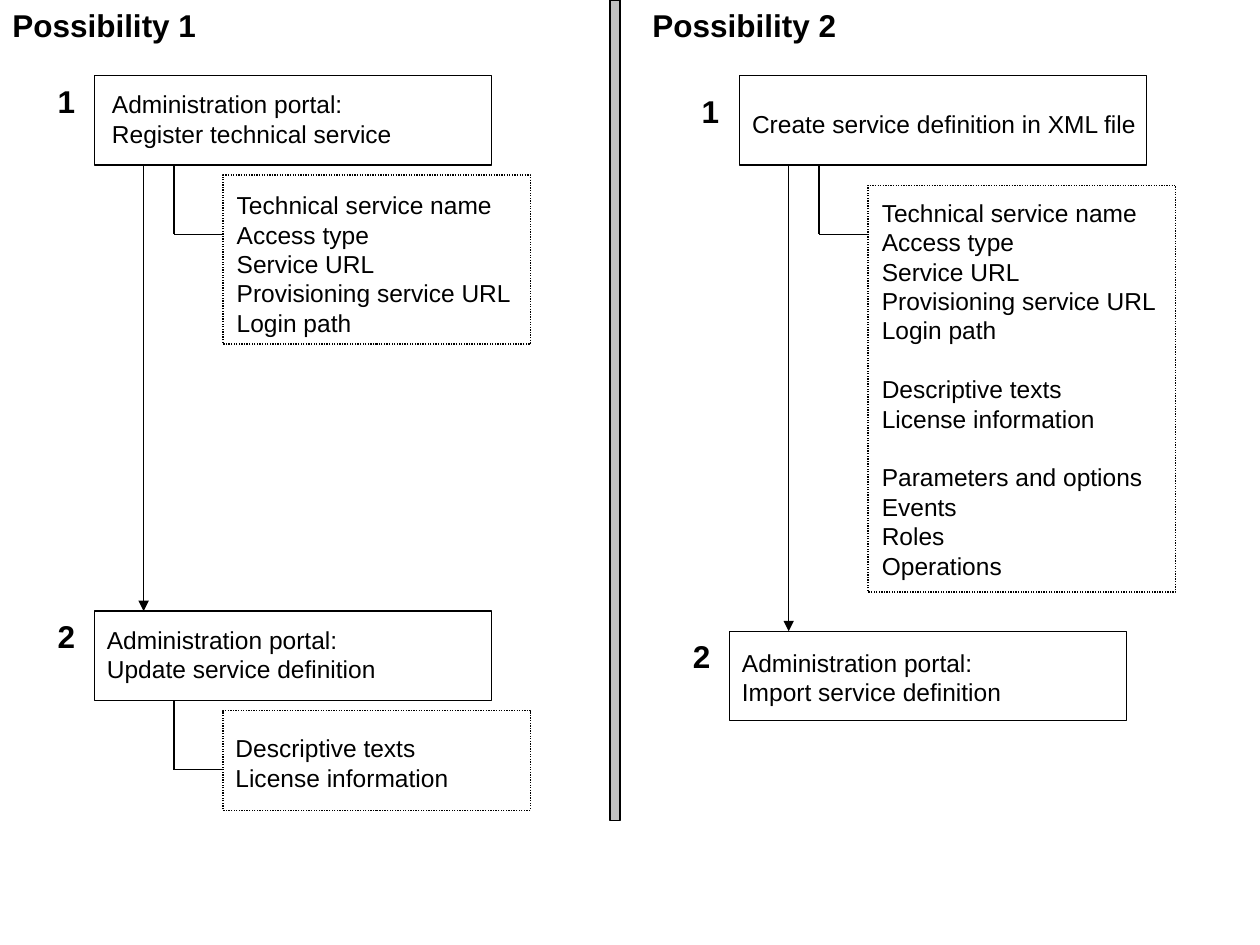
"""Build a slide comparing two ways of defining a technical service."""
from dataclasses import dataclass
from typing import Optional

from lxml import etree
from pptx import Presentation
from pptx.dml.color import RGBColor
from pptx.enum.dml import MSO_LINE
from pptx.enum.shapes import MSO_CONNECTOR, MSO_SHAPE
from pptx.enum.text import MSO_AUTO_SIZE
from pptx.oxml.ns import qn
from pptx.util import Inches, Pt

RECTANGLE = MSO_SHAPE.RECTANGLE
STRAIGHT = MSO_CONNECTOR.STRAIGHT
DOTTED = MSO_LINE.ROUND_DOT
FIT_SHAPE = MSO_AUTO_SIZE.SHAPE_TO_FIT_TEXT

BLACK = RGBColor(0x00, 0x00, 0x00)
GREY = RGBColor(0xC0, 0xC0, 0xC0)
FONT = "Arial"
BODY_SIZE, HEADING_SIZE = 14, 18
LINE_WIDTH = Pt(0.75)
GROUP_GAP = Pt(16.8)

SLIDE_WIDTH, SLIDE_HEIGHT = Inches(10), Inches(7.5)
COLUMNS, ROWS = 100, 75
STEP_HEIGHT = 7.1
NOTE_WIDTH = 24.4
BRACKET_DROP, BRACKET_RUN = 5.5, 3.9
HEADING_HEIGHT = 4

ACCESS = ["Technical service name", "Access type", "Service URL",
          "Provisioning service URL", "Login path"]
TEXTS = ["Descriptive texts", "License information"]
OPTIONS = ["Parameters and options", "Events", "Roles", "Operations"]


@dataclass
class Area:
    """A rectangle in grid columns and rows."""
    left: float
    top: float
    width: float
    height: float

    @property
    def bottom(self) -> float:
        """Row of the lower edge."""
        return self.top + self.height


@dataclass
class Note:
    """A dotted box of details hanging from a step."""
    frame: Area
    text_area: Area
    groups: list[list[str]]


@dataclass
class Step:
    """A numbered step with an optional note."""
    number: str
    number_left: float
    number_top: float
    frame: Area
    text_area: Area
    lines: list[str]
    note: Optional[Note] = None


@dataclass
class Possibility:
    """A headed column of steps joined by an arrow."""
    heading: str
    left: float
    arrow_column: float
    steps: list[Step]


POSSIBILITIES = [
    Possibility("Possibility 1", 0, 11.4, [
        Step("1", 3.6, 6, Area(7.5, 6, 31.5, STEP_HEIGHT), Area(7.9, 6.6, 24.2, 5.7),
             ["Administration portal:", "Register technical service"],
             Note(Area(17.7, 13.9, NOTE_WIDTH, 13.4), Area(17.8, 14.6, 23.8, 12.7), [ACCESS])),
        Step("2", 3.6, 48.5, Area(7.5, 48.5, 31.5, STEP_HEIGHT), Area(7.5, 49.1, 23.6, 5.7),
             ["Administration portal:", "Update service definition"],
             Note(Area(17.7, 56.4, NOTE_WIDTH, 7.9), Area(17.7, 57.7, 18.9, 5.7), [TEXTS])),
    ]),
    Possibility("Possibility 2", 50.8, 62.6, [
        Step("1", 54.7, 6.8, Area(58.7, 6, 32.3, STEP_HEIGHT), Area(58.7, 8.2, 32.5, 3.4),
             ["Create service definition in XML file"],
             Note(Area(68.9, 14.7, NOTE_WIDTH, 32.3), Area(69, 15.2, 23.8, 31.4),
                  [ACCESS, TEXTS, OPTIONS])),
        Step("2", 54, 50.1, Area(57.9, 50.1, 31.5, STEP_HEIGHT), Area(57.9, 50.9, 22.6, 5.7),
             ["Administration portal:", "Import service definition"]),
    ]),
]


def across(columns: float) -> int:
    """Turn grid columns into a slide length."""
    return round(SLIDE_WIDTH * columns / COLUMNS)


def down(rows: float) -> int:
    """Turn grid rows into a slide length."""
    return round(SLIDE_HEIGHT * rows / ROWS)


def place(area: Area) -> tuple[int, int, int, int]:
    """Return left, top, width and height on the slide."""
    return across(area.left), down(area.top), across(area.width), down(area.height)


def draw_frame(shapes, area: Area, fill: Optional[RGBColor] = None, dash=None) -> None:
    """Draw an outlined rectangle."""
    frame = shapes.add_shape(RECTANGLE, *place(area))
    frame.shadow.inherit = False
    if fill is None:
        frame.fill.background()
    else:
        frame.fill.solid()
        frame.fill.fore_color.rgb = fill
    frame.line.color.rgb = BLACK
    frame.line.width = LINE_WIDTH
    if dash is not None:
        frame.line.dash_style = dash


def draw_text(shapes, area: Area, groups: list[list[str]],
              size: int = BODY_SIZE, bold: bool = False) -> None:
    """Write groups of lines, with a one-line gap between groups."""
    frame = shapes.add_textbox(*place(area)).text_frame
    frame.word_wrap = False
    frame.auto_size = FIT_SHAPE
    frame.text = "\n".join(line for group in groups for line in group)
    paragraphs = iter(frame.paragraphs)
    for group_index, group in enumerate(groups):
        for line_index in range(len(group)):
            paragraph = next(paragraphs)
            if group_index and not line_index:
                paragraph.space_before = GROUP_GAP
            for run in paragraph.runs:
                run.font.name = FONT
                run.font.size = Pt(size)
                run.font.bold = bold
                run.font.color.rgb = BLACK


def draw_line(shapes, start: tuple[float, float], end: tuple[float, float],
              arrow: bool = False) -> None:
    """Draw a straight line, with an arrowhead at its end if asked."""
    line = shapes.add_connector(STRAIGHT, across(start[0]), down(start[1]),
                                across(end[0]), down(end[1]))
    line.line.color.rgb = BLACK
    line.line.width = LINE_WIDTH
    if arrow:
        etree.SubElement(line.line._get_or_add_ln(), qn("a:tailEnd"), type="triangle")
    etree.SubElement(line._element.spPr, qn("a:effectLst"))


def draw_step(shapes, step: Step) -> None:
    """Draw a step with its number and its bracketed note."""
    draw_frame(shapes, step.frame)
    draw_text(shapes, step.text_area, [step.lines])
    draw_text(shapes, Area(step.number_left, step.number_top, 3.4, HEADING_HEIGHT),
              [[step.number]], HEADING_SIZE, bold=True)
    if step.note:
        note = step.note
        corner = (note.frame.left - BRACKET_RUN, step.frame.bottom + BRACKET_DROP)
        draw_line(shapes, (corner[0], step.frame.bottom), corner)
        draw_line(shapes, corner, (note.frame.left, corner[1]))
        draw_frame(shapes, note.frame, dash=DOTTED)
        draw_text(shapes, note.text_area, note.groups)


def draw_possibility(shapes, possibility: Possibility) -> None:
    """Draw a heading, its steps and the arrow between them."""
    draw_text(shapes, Area(possibility.left, 0, 16.6, HEADING_HEIGHT),
              [[possibility.heading]], HEADING_SIZE, bold=True)
    for step in possibility.steps:
        draw_step(shapes, step)
    first, last = possibility.steps
    draw_line(shapes, (possibility.arrow_column, first.frame.bottom),
              (possibility.arrow_column, last.frame.top), arrow=True)


def main() -> None:
    """Build and save the slide."""
    presentation = Presentation()
    presentation.slide_width, presentation.slide_height = SLIDE_WIDTH, SLIDE_HEIGHT
    shapes = presentation.slides.add_slide(presentation.slide_layouts[6]).shapes
    draw_frame(shapes, Area(48.4, 0, 0.8, 65.1), fill=GREY)
    for possibility in POSSIBILITIES:
        draw_possibility(shapes, possibility)
    presentation.save("out.pptx")


if __name__ == "__main__":
    main()
